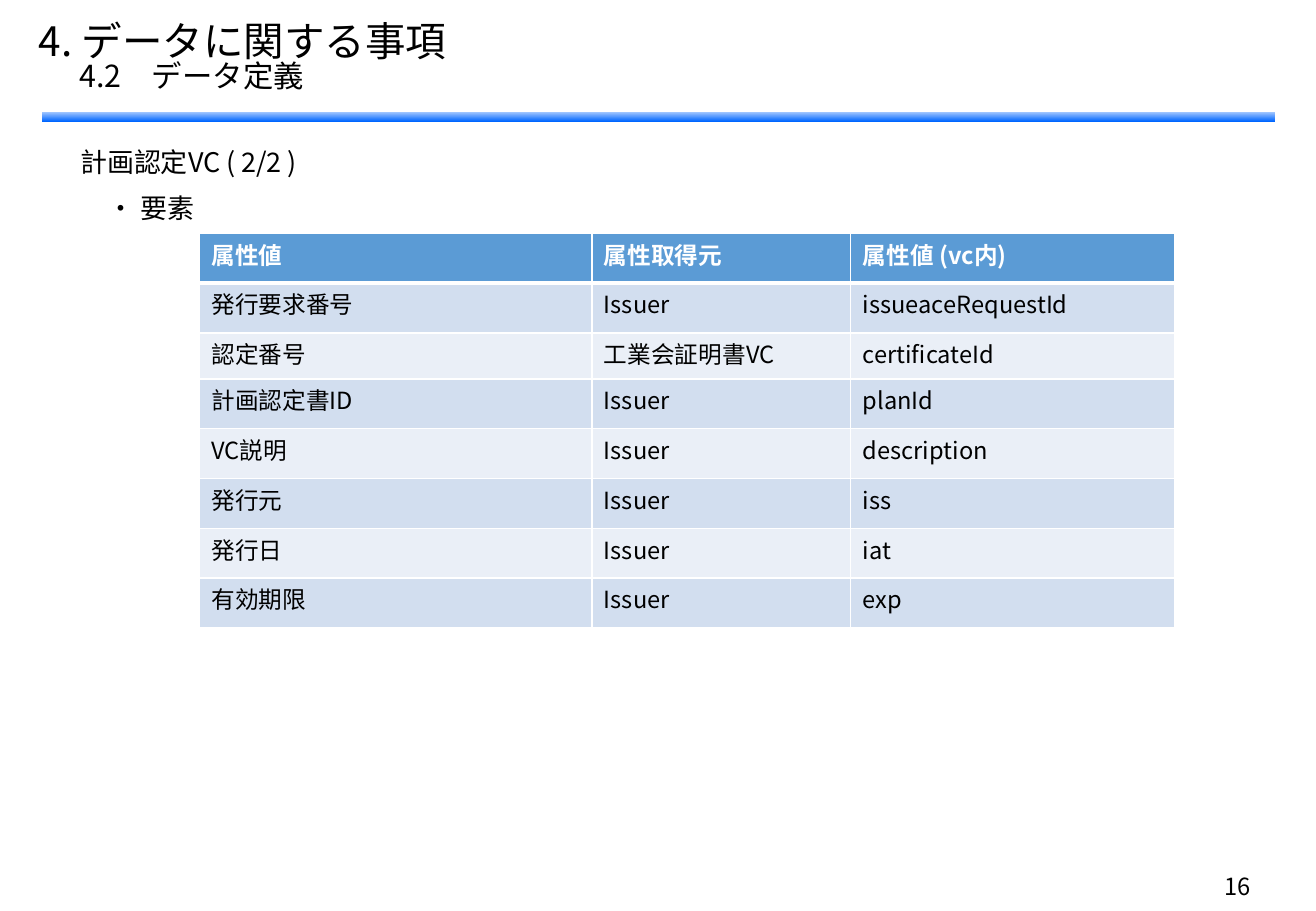
from dataclasses import dataclass

from lxml import etree
from pptx import Presentation
from pptx.dml.color import RGBColor
from pptx.enum.shapes import MSO_SHAPE
from pptx.enum.text import MSO_ANCHOR, MSO_AUTO_SIZE, PP_ALIGN
from pptx.oxml.ns import qn
from pptx.util import Inches, Pt

RECT = MSO_SHAPE.RECTANGLE
TOP, MIDDLE, BOTTOM = MSO_ANCHOR.TOP, MSO_ANCHOR.MIDDLE, MSO_ANCHOR.BOTTOM
LEFT, RIGHT = PP_ALIGN.LEFT, PP_ALIGN.RIGHT
NO_FIT = MSO_AUTO_SIZE.NONE


@dataclass(frozen=True)
class Theme:
    """Colours, font and type sizes of the slide."""
    font: str = "Noto Sans CJK JP"
    ink: str = "000000"
    white: str = "FFFFFF"
    head: str = "5B9BD5"
    bands: tuple = ("D2DEEF", "EAEFF7")
    rule: tuple = ("A9CBFF", "0066FF")
    title: int = 24
    sub: int = 18
    body: int = 16
    small: int = 14


THEME = Theme()
ROWS = [
    ("属性値", "属性取得元", "属性値 (vc内)"),
    ("発行要求番号", "Issuer", "issueaceRequestId"),
    ("認定番号", "工業会証明書VC", "certificateId"),
    ("計画認定書ID", "Issuer", "planId"),
    ("VC説明", "Issuer", "description"),
    ("発行元", "Issuer", "iss"),
    ("発行日", "Issuer", "iat"),
    ("有効期限", "Issuer", "exp"),
]
WIDTHS = (3.23, 2.13, 2.67)
HEIGHTS = (0.41, 0.41, 0.38, 0.41, 0.41, 0.41, 0.41, 0.41)


def write(para, text, size=THEME.small, color=THEME.ink, bold=False,
          align=LEFT, line=0.9, before=0, indent=0):
    """Put formatted text into a paragraph, with its indent in points."""
    run = para.add_run()
    run.text = text
    font = run.font
    font.name, font.size, font.bold = THEME.font, Pt(size), bold
    font.color.rgb = RGBColor.from_string(color)
    east = etree.SubElement(font._element, qn("a:ea"))
    east.set("typeface", THEME.font)
    para.alignment, para.line_spacing = align, line
    para.space_before = Pt(before)
    props = para._p.get_or_add_pPr()
    props.set("marL", str(Pt(indent)))
    props.set("indent", "0")


def set_frame(shape, anchor):
    """Make the text of a shape wrap at a fixed size."""
    frame = shape.text_frame
    frame.word_wrap, frame.auto_size = True, NO_FIT
    frame.vertical_anchor = anchor
    return frame


def add_title(slide, x, y, w, h):
    """Fill the title with the chapter and its section."""
    title = slide.shapes.title
    title.left, title.top = Inches(x), Inches(y)
    title.width, title.height = Inches(w), Inches(h)
    frame = set_frame(title, MIDDLE)
    write(frame.paragraphs[0], "4. データに関する事項", size=THEME.title, line=0.8)
    write(frame.add_paragraph(), "4.2　データ定義", size=THEME.sub,
          line=0.8, indent=THEME.title)


def add_rule(slide, x, y, w, h):
    """Draw the shaded bar under the title."""
    bar = slide.shapes.add_shape(RECT, Inches(x), Inches(y), Inches(w), Inches(h))
    bar.shadow.inherit = False
    bar.line.fill.background()
    bar.fill.gradient()
    bar.fill.gradient_angle = 270
    for stop, color in zip(bar.fill.gradient_stops, THEME.rule):
        stop.color.rgb = RGBColor.from_string(color)


def add_lead(slide, x, y, w, h):
    """Write the two lines above the table."""
    box = slide.shapes.add_textbox(Inches(x), Inches(y), Inches(w), Inches(h))
    frame = set_frame(box, TOP)
    size = THEME.body
    write(frame.paragraphs[0], "計画認定VC ( 2/2 )", size=size,
          line=Pt(19.2), indent=size)
    write(frame.add_paragraph(), "・ 要素", size=size,
          line=Pt(19.2), before=size / 2, indent=2 * size)


def set_edge(cell, side, width):
    """Draw one white cell border."""
    edge = etree.SubElement(cell._tc.get_or_add_tcPr(), qn("a:ln" + side))
    edge.set("w", str(Pt(width)))
    fill = etree.SubElement(edge, qn("a:solidFill"))
    etree.SubElement(fill, qn("a:srgbClr")).set("val", THEME.white)


def add_grid(slide, x, y, w, h):
    """Build the table of attributes."""
    table = slide.shapes.add_table(len(ROWS), len(WIDTHS), Inches(x), Inches(y),
                                   Inches(w), Inches(h)).table
    for col, width in zip(table.columns, WIDTHS):
        col.width = Inches(width * w / sum(WIDTHS))
    for r, texts in enumerate(ROWS):
        table.rows[r].height = Inches(HEIGHTS[r] * h / sum(HEIGHTS))
        head = r == 0
        shade = THEME.head if head else THEME.bands[(r - 1) % 2]
        for c, text in enumerate(texts):
            cell = table.cell(r, c)
            for side in "LRTB":
                thick = (r, side) in ((0, "B"), (1, "T"))
                set_edge(cell, side, 3 if thick else 1)
            cell.fill.solid()
            cell.fill.fore_color.rgb = RGBColor.from_string(shade)
            write(cell.text_frame.paragraphs[0], text, bold=head,
                  color=THEME.white if head else THEME.ink)


def add_number(slide, x, y, w, h):
    """Write the page number."""
    box = slide.shapes.add_textbox(Inches(x), Inches(y), Inches(w), Inches(h))
    write(set_frame(box, BOTTOM).paragraphs[0], "16", align=RIGHT, line=0.8)


def main():
    """Build and save the slide."""
    deck = Presentation()
    deck.slide_width, deck.slide_height = Inches(10.83), Inches(7.5)
    slide = deck.slides.add_slide(deck.slide_layouts[5])
    add_rule(slide, 0.35, 0.92, 10.14, 0.08)
    add_lead(slide, 0.34, 1.15, 10.05, 0.77)
    add_number(slide, 7.86, 7.06, 2.53, 0.4)
    add_title(slide, 0.22, 0.14, 9.69, 0.7)
    add_grid(slide, 1.64, 1.92, 8.03, 3.25)
    deck.save("out.pptx")


if __name__ == "__main__":
    main()
